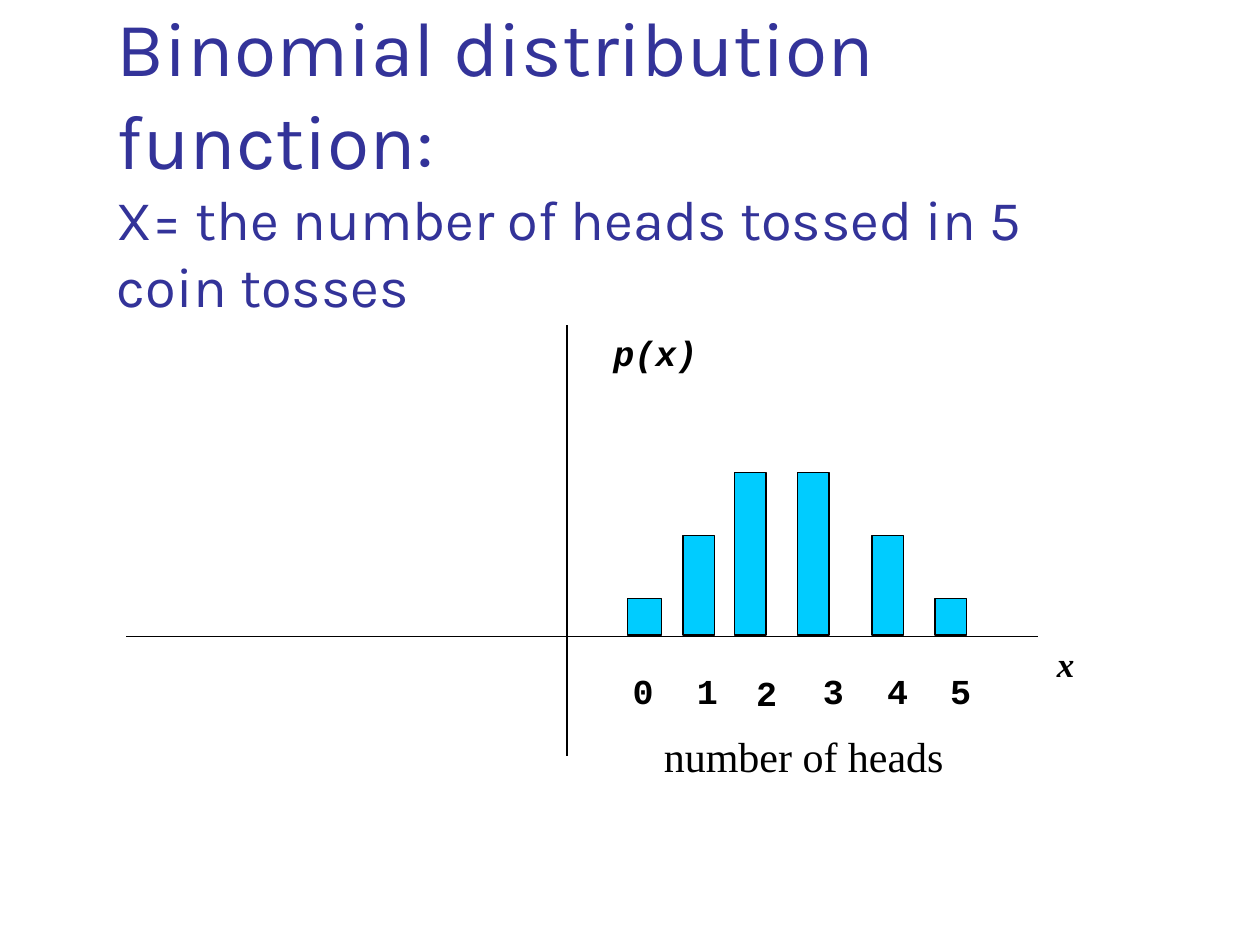
from dataclasses import dataclass
from lxml.etree import SubElement
from pptx import Presentation
from pptx.dml.color import RGBColor
from pptx.enum.shapes import MSO_CONNECTOR, MSO_SHAPE
from pptx.enum.text import MSO_ANCHOR
from pptx.oxml.ns import qn
from pptx.slide import Slide
from pptx.util import Inches, Pt


@dataclass(frozen=True)
class Theme:
    title: RGBColor = RGBColor(0x33, 0x33, 0x99)
    ink: RGBColor = RGBColor(0, 0, 0)
    bar: RGBColor = RGBColor(0x00, 0xCC, 0xFF)
    title_font: str = "Karla"
    serif: str = "Times New Roman"
    mono: str = "Courier New"
    title_size: int = 44
    subtitle_size: int = 32
    caption_size: int = 24
    label_size: int = 20
    line_width: float = 0.75


THEME = Theme()
BASELINE = 5.04


@dataclass(frozen=True)
class Span:
    text: str
    size: int
    font: str
    color: RGBColor = THEME.ink
    bold: bool = False
    italic: bool = False


@dataclass(frozen=True)
class Outcome:
    heads: int
    bar_left: float
    bar_height: float
    label_left: float
    label_top: float = 5.31
    bar_width: float = 0.25


OUTCOMES = [
    Outcome(0, 4.98, 0.29, 5.02, bar_width=0.27),
    Outcome(1, 5.42, 0.79, 5.53),
    Outcome(2, 5.83, 1.29, 6.0, label_top=5.33),
    Outcome(3, 6.33, 1.29, 6.53),
    Outcome(4, 6.92, 0.79, 7.04),
    Outcome(5, 7.42, 0.29, 7.54),
]


def add_text(page: Slide, left: float, top: float, width: float, height: float,
             spans: list[Span], inset: tuple[float, float] = (0.1, 0.05),
             anchor: MSO_ANCHOR = MSO_ANCHOR.TOP) -> None:
    box = page.shapes.add_textbox(Inches(left), Inches(top), Inches(width), Inches(height))
    frame = box.text_frame
    frame.word_wrap = True
    frame.vertical_anchor = anchor
    frame.margin_left = frame.margin_right = Inches(inset[0])
    frame.margin_top = frame.margin_bottom = Inches(inset[1])
    para = frame.paragraphs[0]
    for index, span in enumerate(spans):
        if index:
            para.add_line_break()
        run = para.add_run()
        run.text = span.text
        run.font.size = Pt(span.size)
        run.font.name = span.font
        run.font.color.rgb = span.color
        run.font.bold = span.bold
        run.font.italic = span.italic


def add_axis(page: Slide, start: tuple[float, float], end: tuple[float, float]) -> None:
    axis = page.shapes.add_connector(
        MSO_CONNECTOR.STRAIGHT, *(Inches(value) for value in (*start, *end)))
    axis.line.color.rgb = THEME.ink
    axis.line.width = Pt(THEME.line_width)
    SubElement(axis.element.spPr, qn("a:effectLst"))


def add_outcome(page: Slide, outcome: Outcome) -> None:
    bar = page.shapes.add_shape(
        MSO_SHAPE.RECTANGLE, Inches(outcome.bar_left), Inches(BASELINE - outcome.bar_height),
        Inches(outcome.bar_width), Inches(outcome.bar_height))
    bar.shadow.inherit = False
    bar.fill.solid()
    bar.fill.fore_color.rgb = THEME.bar
    bar.line.color.rgb = THEME.ink
    bar.line.width = Pt(THEME.line_width)
    label = Span(str(outcome.heads), THEME.label_size, THEME.mono, bold=True)
    add_text(page, outcome.label_left, outcome.label_top, 0.22, 0.35, [label], inset=(0, 0))


def main() -> None:
    deck = Presentation()
    deck.slide_width, deck.slide_height = Inches(10), Inches(7.5)
    page = deck.slides.add_slide(deck.slide_layouts[6])
    add_text(page, 0.83, 1.5, 8.24, 1.08, [
        Span("Binomial distribution function:", THEME.title_size, THEME.title_font, THEME.title),
        Span("X= the number of heads tossed in 5 coin tosses",
             THEME.subtitle_size, THEME.title_font, THEME.title),
    ], anchor=MSO_ANCHOR.BOTTOM)
    for outcome in OUTCOMES:
        add_outcome(page, outcome)
    add_axis(page, (4.5, 2.58), (4.5, 6))
    add_axis(page, (1, 5.05), (8.24, 5.05))
    add_text(page, 8.29, 5.05, 0.71, 0.62,
             [Span("x", THEME.label_size, THEME.serif, bold=True, italic=True)])
    add_text(page, 4.77, 2.58, 1.19, 0.62,
             [Span("p(x)", THEME.label_size, THEME.mono, bold=True, italic=True)])
    add_text(page, 5.17, 5.75, 3.33, 0.45,
             [Span("number of heads", THEME.caption_size, THEME.serif)])
    deck.save("out.pptx")


if __name__ == "__main__":
    main()
